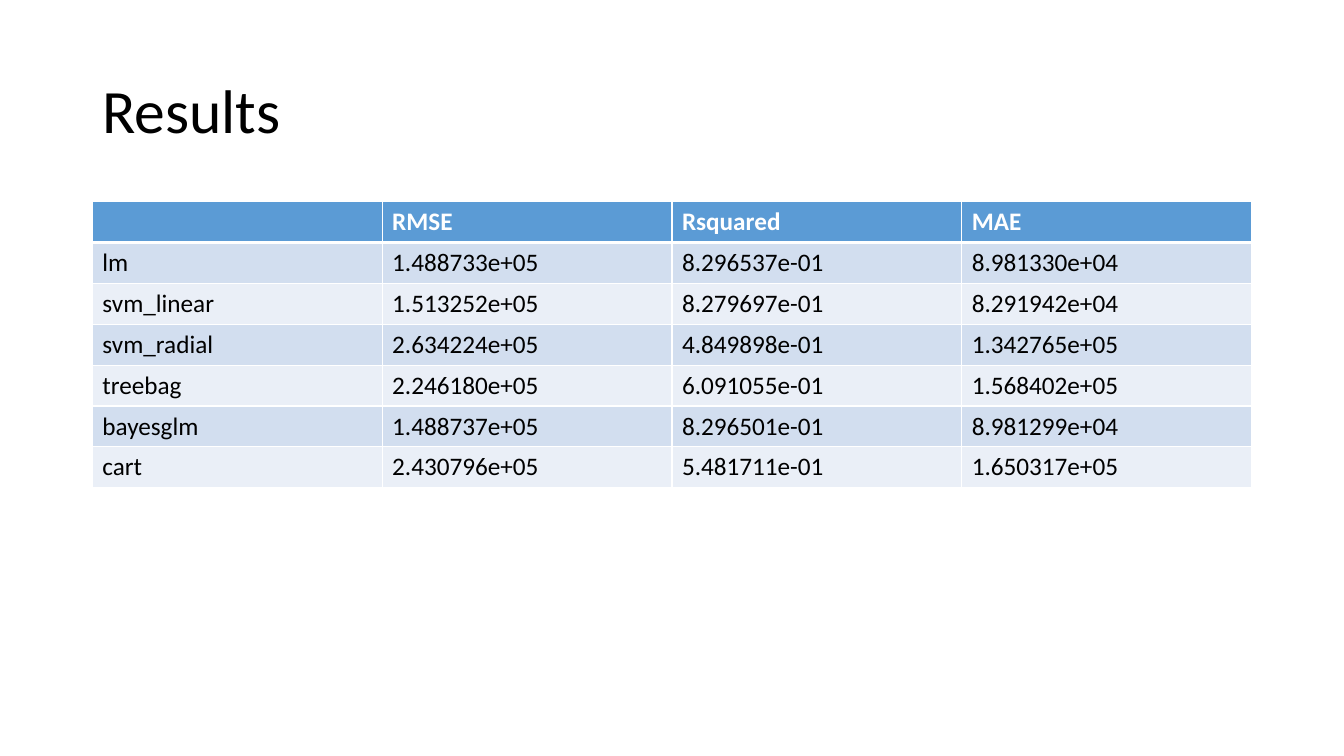
"""Build the slide that compares model results."""
from lxml import etree
from pptx import Presentation
from pptx.dml.color import RGBColor
from pptx.enum.text import MSO_ANCHOR, PP_ALIGN
from pptx.oxml.ns import qn
from pptx.util import Pt

FONT = "Calibri"
COLORS = {"text": "000000", "header": "5B9BD5", "header_text": "FFFFFF",
          "odd_row": "D2DEEF", "even_row": "EAEFF7", "border": "FFFFFF"}
RESULTS = [
    ("", "RMSE", "Rsquared", "MAE"),
    ("lm", "1.488733e+05", "8.296537e-01", "8.981330e+04"),
    ("svm_linear", "1.513252e+05", "8.279697e-01", "8.291942e+04"),
    ("svm_radial", "2.634224e+05", "4.849898e-01", "1.342765e+05"),
    ("treebag", "2.246180e+05", "6.091055e-01", "1.568402e+05"),
    ("bayesglm", "1.488737e+05", "8.296501e-01", "8.981299e+04"),
    ("cart", "2.430796e+05", "5.481711e-01", "1.650317e+05"),
]


def rgb(name):
    """Return the named colour."""
    return RGBColor.from_string(COLORS[name])


def write(paragraph, text, size, color, bold=False):
    """Add one formatted run to a paragraph."""
    run = paragraph.add_run()
    run.text = text
    run.font.name, run.font.size, run.font.bold = FONT, Pt(size), bold
    run.font.color.rgb = rgb(color)


def set_borders(cell, widths):
    """Draw the cell borders, given widths in points by side."""
    properties = cell._tc.get_or_add_tcPr()
    for side, width in widths.items():
        line = etree.SubElement(properties, qn(f"a:ln{side}"), w=str(Pt(width)))
        fill = etree.SubElement(line, qn("a:solidFill"))
        etree.SubElement(fill, qn("a:srgbClr"), val=COLORS["border"])


def add_title(slide, text, left, top, width, height):
    """Place and format the title placeholder."""
    title = slide.shapes.title
    title.left, title.top, title.width, title.height = map(Pt, (left, top, width, height))
    frame = title.text_frame
    frame.word_wrap = True
    frame.vertical_anchor = MSO_ANCHOR.MIDDLE
    paragraph = frame.paragraphs[0]
    paragraph.alignment = PP_ALIGN.LEFT
    paragraph.line_spacing = 0.9
    write(paragraph, text, 44, "text")


def add_results_table(slide, rows, left, top, width, height):
    """Add the banded table with equal rows and columns."""
    table = slide.shapes.add_table(
        len(rows), len(rows[0]), *map(Pt, (left, top, width, height))).table
    for column in table.columns:
        column.width = Pt(width / len(rows[0]))
    for r, values in enumerate(rows):
        table.rows[r].height = Pt(height / len(rows))
        header = r == 0
        fill = "header" if header else "odd_row" if r % 2 else "even_row"
        for c, value in enumerate(values):
            cell = table.cell(r, c)
            set_borders(cell, {"L": 1, "R": 1, "T": 3 if r == 1 else 1,
                               "B": 3 if header else 1})
            cell.fill.solid()
            cell.fill.fore_color.rgb = rgb(fill)
            if value:
                write(cell.text_frame.paragraphs[0], value, 18,
                      "header_text" if header else "text", header)


def main():
    """Build and save the presentation."""
    presentation = Presentation()
    presentation.slide_width, presentation.slide_height = Pt(960), Pt(540)
    slide = presentation.slides.add_slide(presentation.slide_layouts[5])
    add_title(slide, "Results", 66, 28.75, 828, 104.4)
    add_results_table(slide, RESULTS, 66, 144, 828, 204.4)
    presentation.save("out.pptx")


main()
